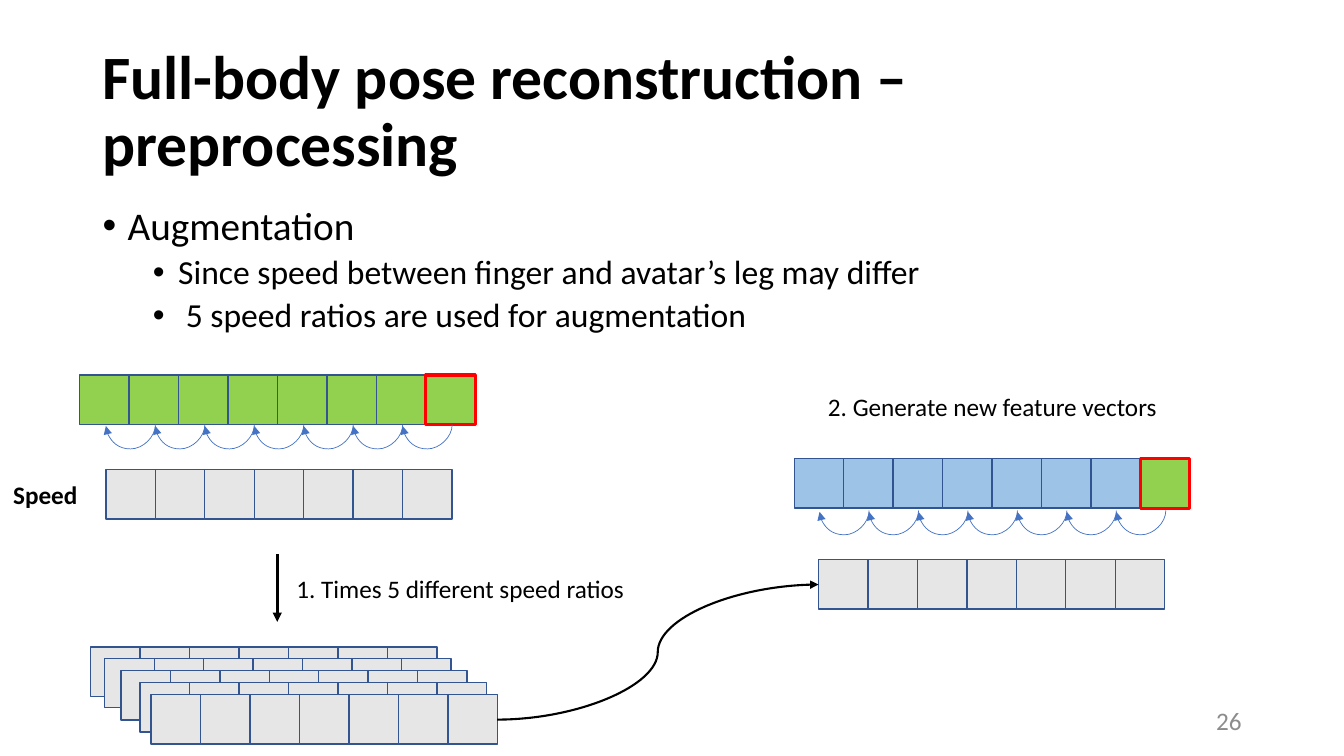
"""Build the slide on preprocessing and speed augmentation for full-body pose reconstruction."""
from lxml.etree import SubElement
from pptx import Presentation
from pptx.dml.color import RGBColor
from pptx.enum.shapes import MSO_CONNECTOR, MSO_SHAPE
from pptx.enum.text import MSO_ANCHOR, MSO_AUTO_SIZE, PP_ALIGN
from pptx.oxml.ns import qn
from pptx.util import Inches, Pt

BLACK = RGBColor(0x00, 0x00, 0x00)
GRAY = RGBColor(0x8C, 0x8C, 0x8C)
LIGHT_GRAY = RGBColor(0xE7, 0xE6, 0xE6)
GREEN = RGBColor(0x92, 0xD0, 0x50)
LIGHT_BLUE = RGBColor(0x9D, 0xC3, 0xE6)
BLUE = RGBColor(0x44, 0x72, 0xC4)
DARK_BLUE = RGBColor(0x32, 0x54, 0x91)
RED = RGBColor(0xFF, 0x00, 0x00)

presentation = Presentation()
presentation.slide_width = Inches(13.33)
presentation.slide_height = Inches(7.5)
slide = presentation.slides.add_slide(presentation.slide_layouts[1])
COLUMN = presentation.slide_width / 100
ROW = presentation.slide_height / 100
CELL_WIDTH = 3.68
CELL_HEIGHT = 6.55


def grid(left, top, right, bottom):
    """Turn two pairs of grid columns and rows into slide lengths."""
    return [round(left * COLUMN), round(top * ROW), round(right * COLUMN), round(bottom * ROW)]


def write(shape, place, anchor, lines, paragraph_format, size, color=BLACK, bold=False):
    """Place a text shape and fill it with formatted lines."""
    shape.left, shape.top, shape.width, shape.height = grid(*place)
    frame = shape.text_frame
    frame.text = "\n".join(lines)
    frame_format = {"word_wrap": True, "auto_size": MSO_AUTO_SIZE.NONE, "vertical_anchor": anchor}
    for name, value in frame_format.items():
        setattr(frame, name, value)
    for paragraph in frame.paragraphs:
        for name, value in paragraph_format.items():
            setattr(paragraph, name, value)
        font = paragraph.runs[0].font
        for name, value in {"name": "Calibri", "size": Pt(size), "bold": bold}.items():
            setattr(font, name, value)
        font.color.rgb = color


title, body = slide.placeholders
write(title, (6.88, 5.32, 86.25, 19.33), MSO_ANCHOR.MIDDLE,
      ["Full-body pose reconstruction – preprocessing"],
      {"alignment": PP_ALIGN.LEFT, "line_spacing": 0.9}, 44, bold=True)
write(body, (6.88, 26.62, 86.25, 63.45), MSO_ANCHOR.TOP,
      ["Augmentation", "Since speed between finger and avatar’s leg may differ",
       " 5 speed ratios are used for augmentation"],
      {"level": 1, "line_spacing": 0.9, "space_before": Pt(5)}, 24)

heading = body.text_frame.paragraphs[0]
heading.level = 0
heading.space_before = Pt(10)
heading.runs[0].font.size = Pt(28)
for paragraph in body.text_frame.paragraphs:
    properties = paragraph._p.get_or_add_pPr()
    properties.set("marL", str(Inches(0.25 + 0.5 * paragraph.level)))
    properties.set("indent", str(Inches(-0.25)))
    SubElement(properties, qn("a:buFont"), typeface="Arial")
    SubElement(properties, qn("a:buChar"), char="•")

labels = [
    ("26", (70.63, 92.69, 22.5, 5.32), PP_ALIGN.RIGHT, GRAY, False),
    ("Speed", (-0.15, 62.8, 7.05, 5.32), PP_ALIGN.CENTER, BLACK, True),
    ("1. Times 5 different speed ratios", (20.7, 75.2, 27.08, 5.32), PP_ALIGN.CENTER, BLACK, False),
    ("2. Generate new feature vectors", (60.6, 51.07, 26.48, 5.32), PP_ALIGN.CENTER, BLACK, False),
]
for text, place, alignment, color, bold in labels:
    write(slide.shapes.add_textbox(0, 0, 0, 0), place, MSO_ANCHOR.MIDDLE, [text],
          {"alignment": alignment}, 18, color, bold)

speed_stack = [(6.75, 85.6), (7.8, 87.07), (9, 88.67), (10.43, 90.27), (11.25, 91.87)]
speed_rows = [(7.88, 62.13), (60.9, 74), *speed_stack]
vectors = [(left, top, [LIGHT_GRAY] * 7, False) for left, top in speed_rows]
vectors += [(5.93, 49.6, [GREEN] * 8, True), (59.1, 60.67, [LIGHT_BLUE] * 7 + [GREEN], True)]
for left, top, fills, current_last in vectors:
    for index, fill in enumerate(fills):
        cell = slide.shapes.add_shape(
            MSO_SHAPE.RECTANGLE,
            *grid(left + index * CELL_WIDTH, top, CELL_WIDTH, CELL_HEIGHT))
        current = current_last and index == len(fills) - 1
        cell.shadow.inherit = False
        cell.fill.solid()
        cell.fill.fore_color.rgb = fill
        cell.line.color.rgb = RED if current else DARK_BLUE
        cell.line.width = Pt(2.25 if current else 1)

arrows = [
    (MSO_CONNECTOR.STRAIGHT, (20.63, 73.33, 20.63, 82.27), BLACK, 2.25, False),
    (MSO_CONNECTOR.CURVE, (36.98, 95.2, 60.9, 77.33), BLACK, 1.5, False),
]
for left, middle in [(7.88, 56.26), (60.98, 67.62)]:
    for index in range(7):
        center = left + (index + 0.5) * CELL_WIDTH
        ends = (center - 0.05, middle - CELL_HEIGHT / 2, center + 0.05, middle + CELL_HEIGHT / 2)
        arrows.append((MSO_CONNECTOR.CURVE, ends, BLUE, 0.5, True))
for kind, ends, color, width, is_arc in arrows:
    arrow = slide.shapes.add_connector(kind, *grid(*ends))
    arrow.line.color.rgb = color
    arrow.line.width = Pt(width)
    properties = arrow._element.spPr
    SubElement(arrow.line._get_or_add_ln(), qn("a:tailEnd"), type="triangle")
    SubElement(properties, qn("a:effectLst"))
    if is_arc:
        properties.find(qn("a:xfrm")).set("rot", "5400000")
        adjustments = properties.find(qn("a:prstGeom")).find(qn("a:avLst"))
        SubElement(adjustments, qn("a:gd"), name="adj1", fmla="val 1800000")

presentation.save("out.pptx")
